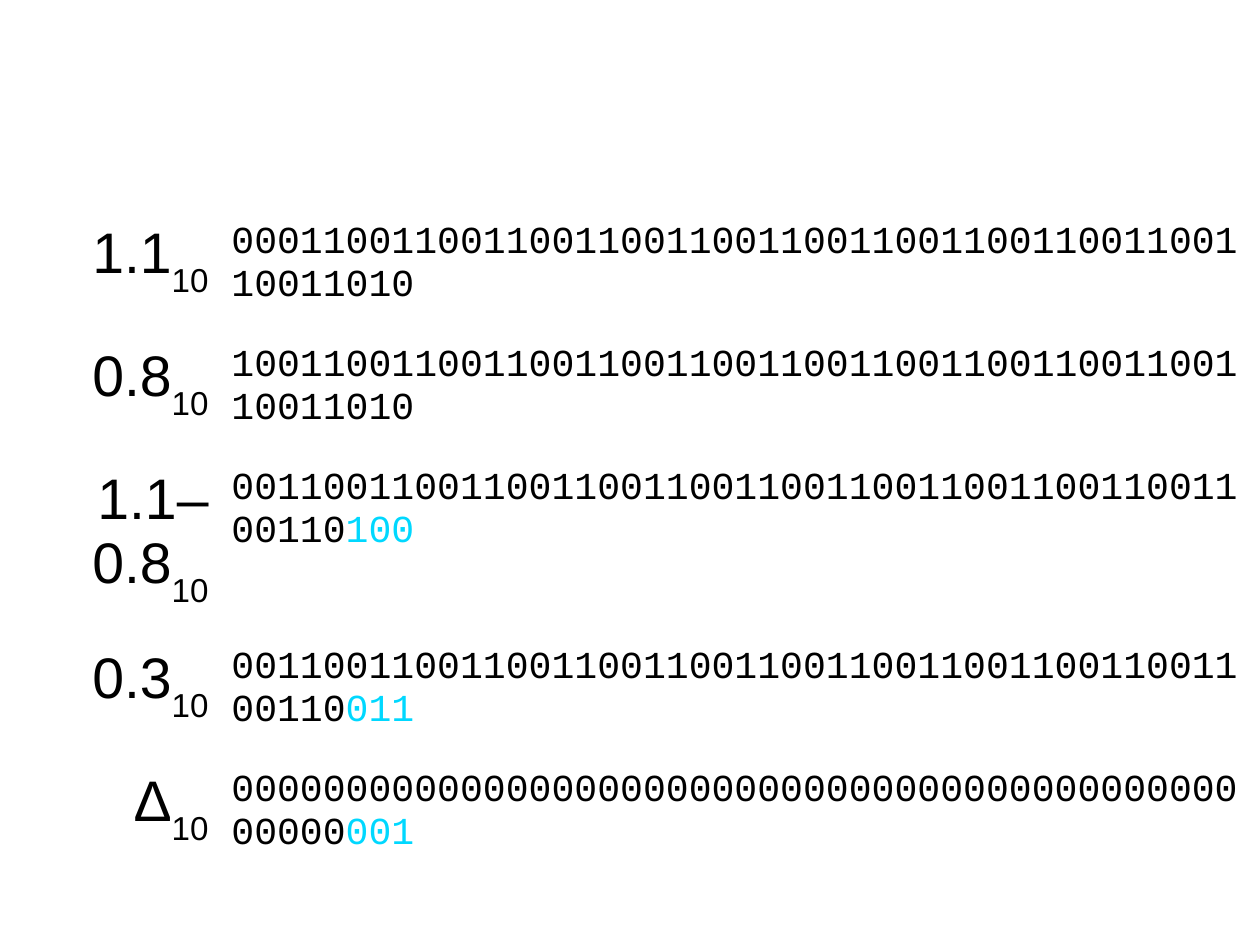
import pptx
import pptx.dml.color
import pptx.enum.text
import pptx.util

PX = 8000  # EMU in one px
BLACK = "000000"
CYAN = "00D8FF"

COLUMN_WIDTHS = [220, 1040]
TABLE_TOP = 216
ROW_HEIGHT = 123
TALL_ROW_HEIGHT = 179

# Decimal label, shared binary digits, last digits, colour of the last digits
ROWS = [
    ("1.1", "0001100110011001100110011001100110011001100110011", "010", BLACK),
    ("0.8", "1001100110011001100110011001100110011001100110011", "010", BLACK),
    ("1.1–0.8", "0011001100110011001100110011001100110011001100110", "100", CYAN),
    ("0.3", "0011001100110011001100110011001100110011001100110", "011", CYAN),
    ("Δ", "0000000000000000000000000000000000000000000000000", "001", CYAN),
]


def px(length):
    return pptx.util.Emu(length * PX)


def color(value):
    return pptx.dml.color.RGBColor.from_string(value)


def add_text(para, text, font="Arial", size=36, fill=BLACK, subscript=False):
    span = para.add_run()
    span.text = text
    span.font.name = font
    span.font.size = pptx.util.Pt(size)
    span.font.color.rgb = color(fill)
    if subscript:
        span._r.get_or_add_rPr().set("baseline", "-33000")


def add_plain_table(page):
    frame = page.shapes.add_table(
        len(ROWS), len(COLUMN_WIDTHS), px(0), px(TABLE_TOP),
        px(sum(COLUMN_WIDTHS)), px(ROW_HEIGHT * len(ROWS)))
    table = frame.table
    table.first_row = False
    table.horz_banding = False
    for column, width in zip(table.columns, COLUMN_WIDTHS):
        column.width = px(width)
    for cell in table.iter_cells():
        cell.fill.background()
    return table


def fill_label(cell, number):
    para = cell.text_frame.paragraphs[0]
    para.alignment = pptx.enum.text.PP_ALIGN.RIGHT
    add_text(para, number)
    add_text(para, "10", subscript=True)


def fill_digits(cell, digits, ending, ending_color):
    para = cell.text_frame.paragraphs[0]
    add_text(para, digits, font="Courier New", size=24)
    add_text(para, ending, font="Courier New", size=24, fill=ending_color)


def main():
    deck = pptx.Presentation()
    deck.slide_width = px(1260)
    deck.slide_height = px(945)
    page = deck.slides.add_slide(deck.slide_layouts[6])

    # Table of decimal numbers and their binary fractions
    table = add_plain_table(page)
    for index, (number, digits, ending, ending_color) in enumerate(ROWS):
        # The difference needs two lines for its label
        is_tall = "–" in number
        table.rows[index].height = px(TALL_ROW_HEIGHT if is_tall else ROW_HEIGHT)
        fill_label(table.cell(index, 0), number)
        fill_digits(table.cell(index, 1), digits, ending, ending_color)

    deck.save("out.pptx")


if __name__ == "__main__":
    main()
